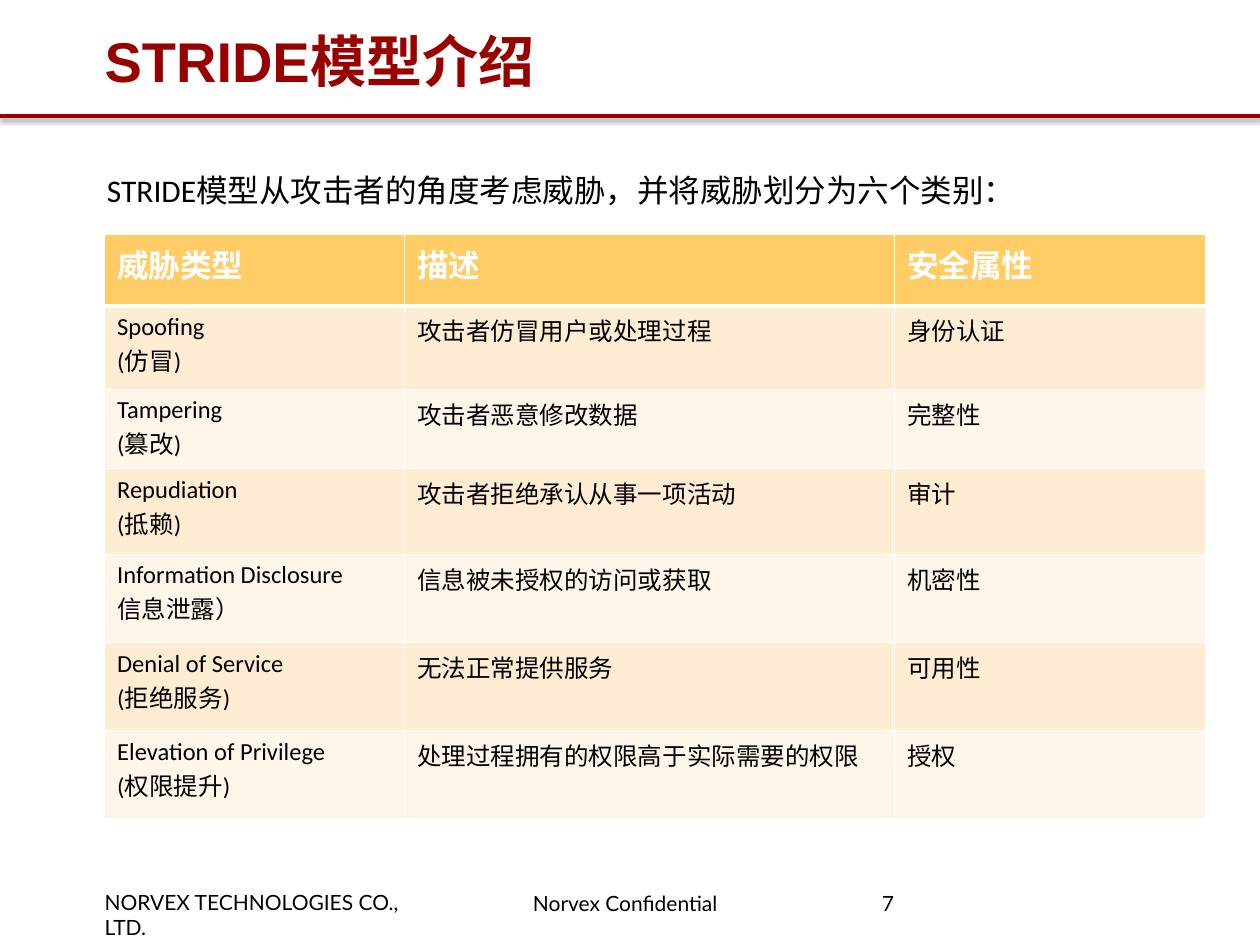
from lxml import etree
from pptx import Presentation
from pptx import util as u
from pptx.dml.color import RGBColor
from pptx.enum import shapes, text
from pptx.oxml import ns

RED, BLACK, WHITE = "990000", "000000", "FFFFFF"
HEAD, BANDS = "FFCC66", ("FFECD3", "FFF6EA")
COLS = (2.38, 3.89, 2.47)
ROWS = (0.57, 0.66, 0.63, 0.68, 0.7, 0.7, 0.7)
THREATS = (
    ("威胁类型", "描述", "安全属性"),
    ("Spoofing\n(仿冒)", "攻击者仿冒用户或处理过程", "身份认证"),
    ("Tampering\n(篡改)", "攻击者恶意修改数据", "完整性"),
    ("Repudiation\n(抵赖)", "攻击者拒绝承认从事一项活动", "审计"),
    ("Information Disclosure\n信息泄露）", "信息被未授权的访问或获取", "机密性"),
    ("Denial of Service\n(拒绝服务)", "无法正常提供服务", "可用性"),
    ("Elevation of Privilege\n(权限提升)", "处理过程拥有的权限高于实际需要的权限", "授权"),
)


def rgb(code):
    return RGBColor.from_string(code)


def add(parent, tag, **attrs):
    return etree.SubElement(parent, ns.qn(tag), attrs)


def write(frame, words, size=18, font="Calibri", color=BLACK, bold=False, spacing=None):
    """Fill a text frame, one paragraph for each line of words."""
    frame.text = words
    for para in frame.paragraphs:
        if spacing:
            para.line_spacing = spacing
        for run in para.runs:
            run.font.size = u.Pt(size)
            run.font.name = font
            run.font.bold = bold
            run.font.color.rgb = rgb(color)


def label(slide, box, words, insets=(0.1, 0.05, 0.1, 0.05),
          anchor=text.MSO_ANCHOR.TOP, **style):
    frame = slide.shapes.add_textbox(*map(u.Inches, box)).text_frame
    frame.word_wrap = True
    frame.vertical_anchor = anchor
    (frame.margin_left, frame.margin_top,
     frame.margin_right, frame.margin_bottom) = map(u.Inches, insets)
    write(frame, words, **style)


def header(slide, left, top, width, height):
    label(slide, (left + 0.83, top, 8.35, height), "STRIDE模型介绍",
          insets=(0, 0.04, 0.09, 0.04), anchor=text.MSO_ANCHOR.MIDDLE,
          size=32, font="Arial", color=RED, bold=True)
    y = u.Inches(top + 0.92)
    rule = slide.shapes.add_connector(
        shapes.MSO_CONNECTOR.STRAIGHT, u.Inches(left), y, u.Inches(left + width), y)
    rule.line.color.rgb = rgb(RED)
    rule.line.width = u.Pt(2)
    effects = add(rule._element.spPr, "a:effectLst")
    shadow = add(effects, "a:outerShdw", blurRad=str(u.Pt(3.1)), dist=str(u.Pt(1.6)),
                 dir="5400000", rotWithShape="0")
    shade = add(shadow, "a:srgbClr", val=BLACK)
    add(shade, "a:alpha", val="38000")


def border(cell, **widths):
    """Draw white cell edges; widths are points keyed by L, R, T and B."""
    props = cell._tc.get_or_add_tcPr()
    for side in "LRTB":
        edge = add(props, f"a:ln{side}", w=str(u.Pt(widths.get(side, 1))))
        add(add(edge, "a:solidFill"), "a:srgbClr", val=WHITE)


def threats(slide, left, top):
    box = map(u.Inches, (left, top, sum(COLS), sum(ROWS)))
    table = slide.shapes.add_table(len(ROWS), len(COLS), *box).table
    for col, width in zip(table.columns, COLS):
        col.width = u.Inches(width)
    for i, (row, height, items) in enumerate(zip(table.rows, ROWS, THREATS)):
        row.height = u.Inches(height)
        for cell, words in zip(row.cells, items):
            border(cell, T=3 if i == 1 else 1, B=1 if i else 3)
            cell.fill.solid()
            cell.fill.fore_color.rgb = rgb(BANDS[(i - 1) % 2] if i else HEAD)
            if i:
                write(cell.text_frame, words, size=14)
            else:
                write(cell.text_frame, words, color=WHITE, bold=True)


def footer(slide, left, top):
    style = dict(size=12, font="Lato")
    label(slide, (left, top, 2.6, 0.2), "NORVEX TECHNOLOGIES CO., LTD.",
          insets=(0, 0, 0.09, 0), **style)
    label(slide, (left + 3.31, top + 0.01, 1.67, 0.2), "Norvex Confidential",
          insets=(0.09, 0, 0.09, 0), **style)
    label(slide, (left + 6.13, top + 0.04, 1.97, 0.4), "7",
          insets=(0.04, 0, 0, 0), spacing=0.85, **style)


def main():
    deck = Presentation()
    deck.slide_width, deck.slide_height = u.Inches(10), u.Inches(7.5)
    slide = deck.slides.add_slide(deck.slide_layouts[6])
    footer(slide, 0.83, 7.06)
    header(slide, 0, 0, 10, 0.95)
    threats(slide, 0.83, 1.86)
    label(slide, (0.75, 1.31, 8.43, 0.4), "STRIDE模型从攻击者的角度考虑威胁，并将威胁划分为六个类别：")
    deck.save("out.pptx")


if __name__ == "__main__":
    main()
